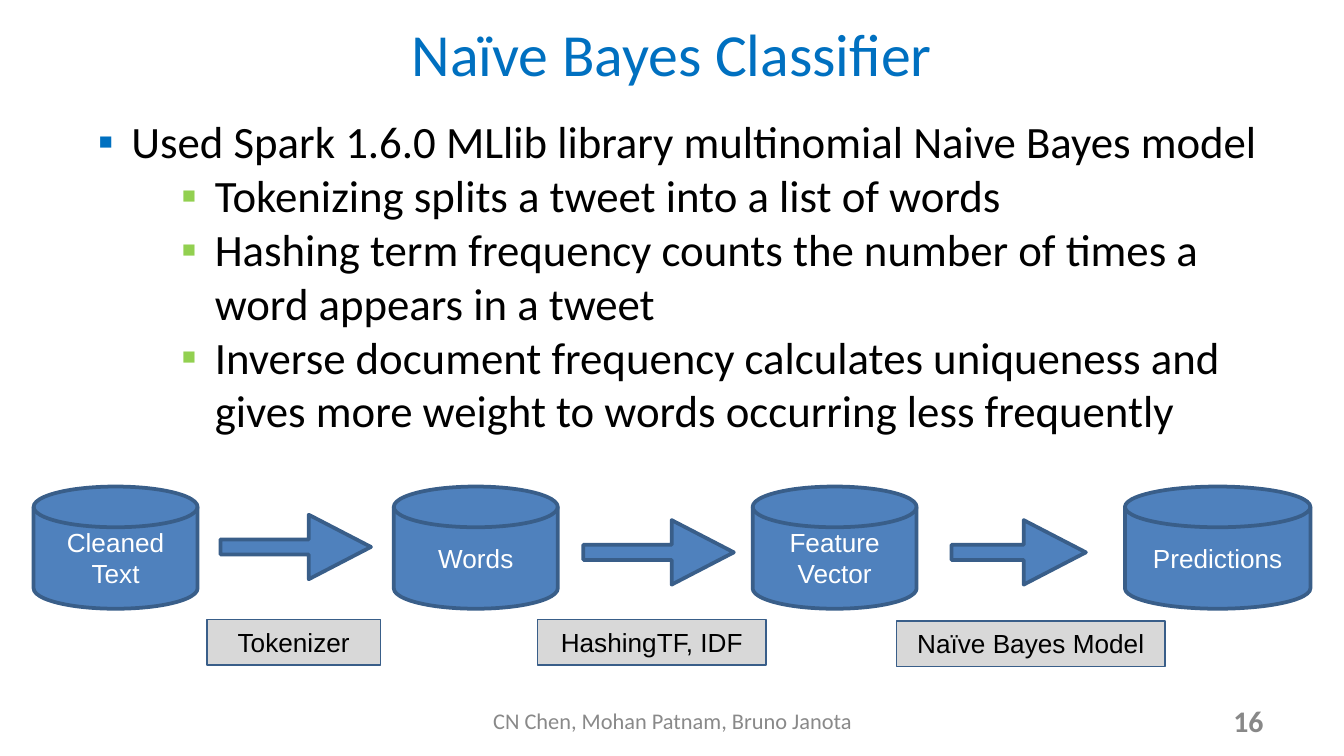
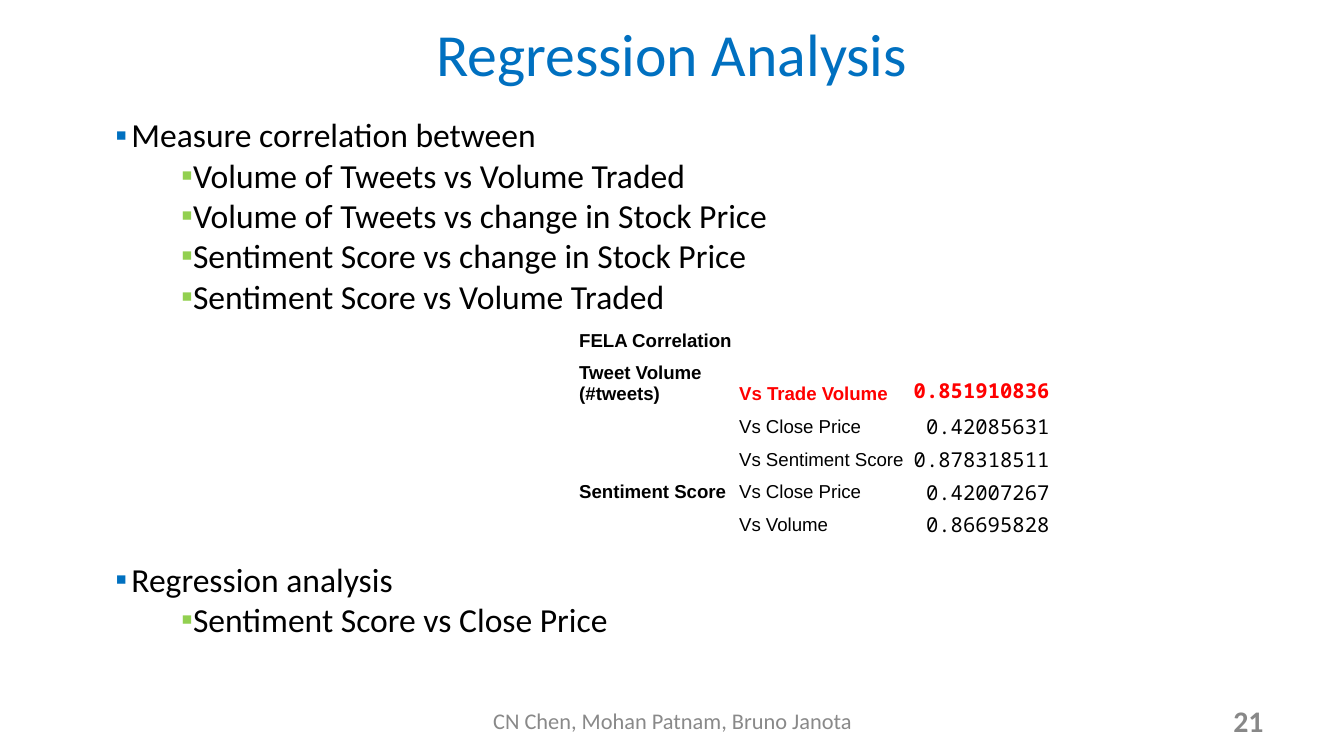
from lxml import etree
from pptx import Presentation
from pptx import util as u
from pptx.dml.color import RGBColor
from pptx.enum import shapes, text
from pptx.oxml import ns

PX = 9144
COLORS = {
    "title": "0070C0", "sub_bullet": "92D050", "ink": "000000", "white": "FFFFFF",
    "blue": "4F81BD", "outline": "395E89", "label": "D8D8D8",
    "number": "888888", "authors": "898989", "highlight": "FF0000",
}
ALIGN = text.PP_ALIGN
ANCHOR = text.MSO_ANCHOR
AUTHORS = "CN Chen, Mohan Patnam, Bruno Janota"


def px(length):
    """Turn px into EMU."""
    return u.Emu(length * PX)


def rgb(name):
    """Look up a colour by its role."""
    return RGBColor.from_string(COLORS[name])


def style(paragraph, size, face, color, bold=False, align=ALIGN.LEFT):
    """Align a paragraph and format its runs."""
    paragraph.alignment = align
    for run in paragraph.runs:
        run.font.size = u.Pt(size)
        run.font.name = face
        run.font.bold = bold
        run.font.color.rgb = rgb(color)


def add_frame(slide, box, inset_y=10, anchor=ANCHOR.MIDDLE):
    """Add an empty wrapping text box and return its frame."""
    frame = slide.shapes.add_textbox(*map(px, box)).text_frame
    frame.word_wrap = True
    frame.vertical_anchor = anchor
    frame.margin_left = frame.margin_right = px(10)
    frame.margin_top = frame.margin_bottom = px(inset_y)
    return frame


def add_line(slide, box, words, size, color, align, bold=False, inset_y=10):
    """Add a one-line text box."""
    frame = add_frame(slide, box, inset_y)
    frame.text = words
    style(frame.paragraphs[0], size, "Calibri", color, bold, align)


def new_slide(deck, title, number):
    """Add a slide with the shared title and footer."""
    slide = deck.slides.add_slide(deck.slide_layouts[6])
    add_line(slide, (50, 10, 900, 59), title, 32, "title", ALIGN.CENTER)
    add_line(slide, (717, 521, 233, 30), str(number), 16, "number", ALIGN.RIGHT, True, 5)
    add_line(slide, (342, 521, 317, 30), AUTHORS, 12, "authors", ALIGN.CENTER)
    return slide


def add_bullet(paragraph, color, left, hanging):
    """Give a paragraph a coloured square bullet."""
    props = paragraph._p.get_or_add_pPr()
    props.set("marL", str(px(left)))
    props.set("indent", str(-px(hanging)))
    tint = etree.SubElement(props, ns.qn("a:buClr"))
    etree.SubElement(tint, ns.qn("a:srgbClr")).set("val", COLORS[color])
    etree.SubElement(props, ns.qn("a:buFont")).set("typeface", "Arial")
    etree.SubElement(props, ns.qn("a:buChar")).set("char", "▪")


def add_outline(slide, height, size, indents, topics, gap=0):
    """Add topics with their points as a two-level bullet list."""
    frame = add_frame(slide, (50, 75, 900, height), anchor=ANCHOR.TOP)
    items = [(level, words) for topic, points in topics
             for level, words in [(0, topic)] + [(1, point) for point in points]]
    for index, (level, words) in enumerate(items):
        paragraph = frame.add_paragraph() if index else frame.paragraphs[0]
        paragraph.text = words
        paragraph.level = level
        if index and level == 0:
            paragraph.space_before = u.Pt(gap)
        add_bullet(paragraph, ("title", "sub_bullet")[level], *indents[level])
        style(paragraph, size, "Calibri", "ink")


def add_block(slide, kind, box, fill, line_width, words="", color="white", anchor=ANCHOR.MIDDLE):
    """Add an outlined shape with an optional caption."""
    block = slide.shapes.add_shape(kind, *map(px, box))
    block.shadow.inherit = False
    block.fill.solid()
    block.fill.fore_color.rgb = rgb(fill)
    block.line.color.rgb = rgb("outline")
    block.line.width = u.Pt(line_width)
    if words:
        block.text_frame.text = words
        block.text_frame.vertical_anchor = anchor
        style(block.text_frame.paragraphs[0], 14, "Arial", color, align=ALIGN.CENTER)
    return block


def add_pipeline(slide):
    """Draw the data stores, the arrows between them and the step labels."""
    kinds = shapes.MSO_SHAPE
    stores = [(25, 122, "Cleaned Text"), (293, 122, "Words"),
              (560, 122, "Feature Vector"), (837, 138, "Predictions")]
    arrows = [(164, 383, 112), (434, 387, 112), (708, 387, 100)]
    steps = [(154, 461, 129, "Tokenizer"), (400, 461, 170, "HashingTF, IDF"),
             (667, 462, 200, "Naïve Bayes Model")]
    for left, width, words in stores:
        add_block(slide, kinds.FLOWCHART_MAGNETIC_DISK, (left, 362, width, 91), "blue", 2, words)
    for left, top, width in arrows:
        arrow = add_block(slide, kinds.RIGHT_ARROW, (left, top, width, 48), "blue", 2)
        arrow.adjustments[0] = 0.235
        arrow.adjustments[1] = 0.964
    for left, top, width, words in steps:
        add_block(slide, kinds.RECTANGLE, (left, top, width, 34), "label", 0.75,
                  words, "ink", ANCHOR.TOP)


def fill_cell(cell, words, column, highlighted, bold):
    """Write one correlation cell."""
    cell.margin_left = cell.margin_right = cell.margin_top = px(1)
    cell.margin_bottom = px(5)
    cell.vertical_anchor = ANCHOR.BOTTOM
    is_value = column == 2
    if is_value and words:
        cell.fill.solid()
        cell.fill.fore_color.rgb = rgb("white")
    else:
        cell.fill.background()
    paragraph = cell.text_frame.paragraphs[0]
    if not words:
        etree.SubElement(paragraph._p, ns.qn("a:endParaRPr")).set("sz", "1000")
        return
    paragraph.text = words
    style(paragraph, 11 if is_value else 10, "Noto Sans Mono" if is_value else "Arial",
          "highlight" if highlighted else "ink", bold,
          ALIGN.RIGHT if is_value else ALIGN.LEFT)


def add_correlations(slide):
    """Add the correlation table."""
    rows = [
        ("FELA Correlation", "", ""),
        ("Tweet Volume \n(#tweets)", "Vs Trade Volume", "0.851910836"),
        ("", "Vs Close Price", "0.42085631"),
        ("", "Vs Sentiment Score", "0.878318511"),
        ("Sentiment Score", "Vs Close Price", "0.42007267"),
        ("", "Vs Volume", "0.86695828"),
    ]
    widths = (119, 125, 108)
    holder = slide.shapes.add_table(len(rows), len(widths), px(430), px(244),
                                    px(sum(widths)), px(22 * len(rows)))
    table = holder.table
    table.first_row = table.horz_banding = False
    for column, width in enumerate(widths):
        table.columns[column].width = px(width)
    holder.width, holder.height = px(353), px(158)
    for row, entries in enumerate(rows):
        for column, words in enumerate(entries):
            strongest = row == 1 and column > 0
            fill_cell(table.cell(row, column), words, column, strongest,
                      strongest or column == 0)


def main():
    """Build both slides and save the deck."""
    deck = Presentation()
    deck.slide_width = px(1000)
    deck.slide_height = deck.slide_width * 9 // 16

    classifier = new_slide(deck, "Naïve Bayes Classifier", 16)
    add_outline(classifier, 286, 24, [(38, 25), (100, 25)], [
        ("Used Spark 1.6.0 MLlib library multinomial Naive Bayes model", [
            "Tokenizing splits a tweet into a list of words",
            "Hashing term frequency counts the number of times a word appears in a tweet",
            "Inverse document frequency calculates uniqueness and gives more weight "
            "to words occurring less frequently"])])
    add_pipeline(classifier)

    regression = new_slide(deck, "Regression Analysis", 21)
    add_outline(regression, 438, 18, [(38, 12), (81, 6)], [
        ("Measure correlation between", [
            "Volume of Tweets vs Volume Traded",
            "Volume of Tweets vs change in Stock Price",
            "Sentiment Score vs change in Stock Price",
            "Sentiment Score vs Volume Traded"]),
        ("Regression analysis", ["Sentiment Score vs Close Price"])], gap=130)
    add_correlations(regression)

    deck.save("out.pptx")


if __name__ == "__main__":
    main()
